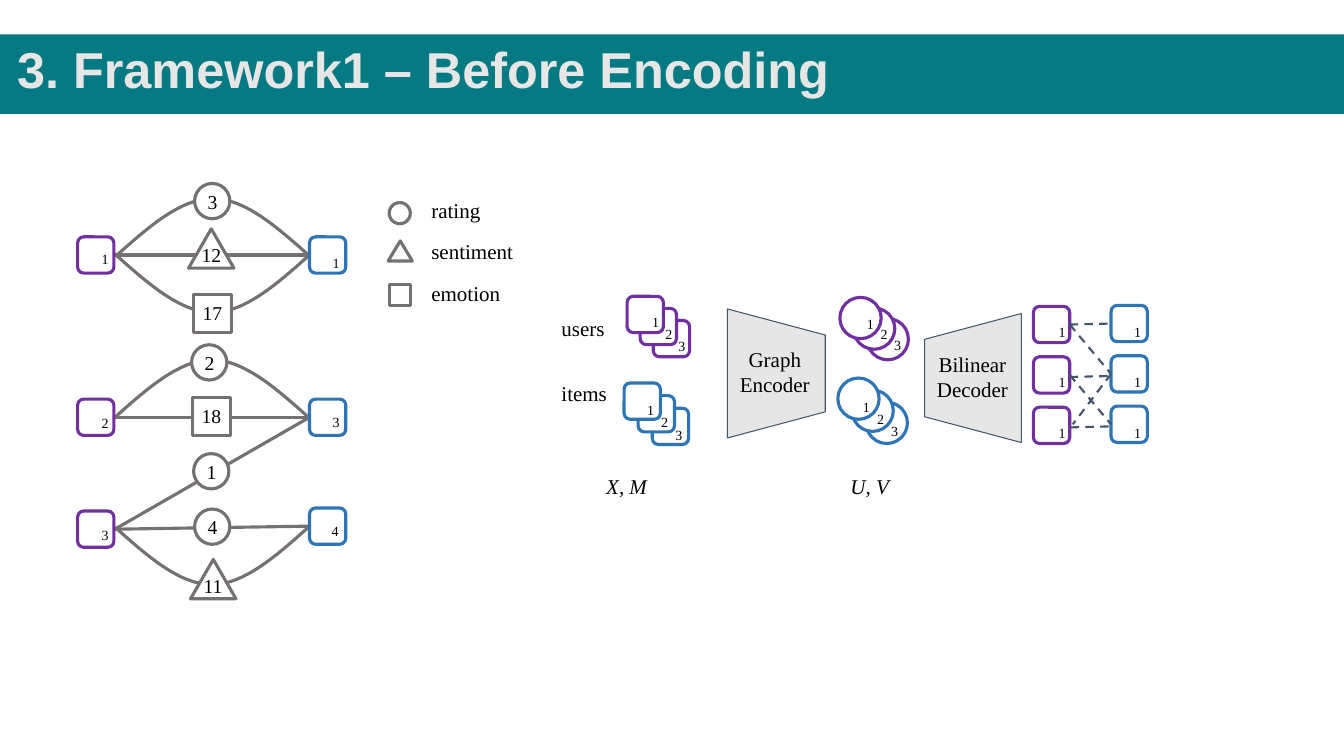
from dataclasses import dataclass
from lxml import etree
from pptx import Presentation, util as u
from pptx.dml.color import RGBColor
from pptx.enum import dml, shapes as sh, text as tx
from pptx.oxml.ns import qn

In = u.Inches
Kind = sh.MSO_SHAPE


@dataclass(frozen=True)
class Theme:
    teal: str = "067A82"
    pale: str = "E7E6E6"
    gray: str = "767171"
    slate: str = "44546A"
    user: str = "7030A0"
    item: str = "2E75B6"
    white: str = "FFFFFF"
    black: str = "000000"
    head: str = "Arial"
    body: str = "Times New Roman"
    title: int = 36
    label: int = 15
    mark: int = 14
    tiny: int = 10
    bold: float = 2.25
    dash: float = 1.5
    thin: float = 0.75


T = Theme()
SIDE, ROUND = 0.36, 0.41

# Content
TITLE = "3. Framework1 – Before Encoding"
# left, base, rise
ARCS = [(1.15, 2.54, 0.57), (1.15, 2.53, -0.57),
        (1.14, 4.14, 0.57), (1.14, 5.23, -0.57)]
EDGES = [(1.14, 2.53, 3.07, 2.53), (1.14, 4.14, 3.07, 4.14),
         (1.14, 5.25, 3.07, 4.14), (1.14, 5.25, 3.07, 5.22)]
# outline: width, height, number offset x, y
MARKS = {"rating": (Kind.OVAL, 0.35, 0.35, 0.13, 0.06),
         "sentiment": (Kind.ISOSCELES_TRIANGLE, 0.45, 0.39, 0.13, 0.14),
         "emotion": (Kind.RECTANGLE, 0.38, 0.38, 0.09, 0.07)}
SCORES = [("rating", "3", 1.93, 1.82), ("sentiment", "12", 1.87, 2.27),
          ("emotion", "17", 1.92, 2.92), ("rating", "2", 1.9, 3.42),
          ("emotion", "18", 1.91, 3.94), ("rating", "1", 1.92, 4.5),
          ("rating", "4", 1.93, 5.05), ("sentiment", "11", 1.89, 5.55)]
# legend sign: left, top, width, height
KEYS = {"rating": (3.86, 2.01, 0.21, 0.21),
        "sentiment": (3.85, 2.39, 0.24, 0.2),
        "emotion": (3.86, 2.82, 0.21, 0.21)}
# number, left, top, colour, number offset x, y
NODES = [("1", 0.77, 2.35, T.user, 0.14, 0.09),
         ("2", 0.77, 3.96, T.user, 0.14, 0.1),
         ("3", 0.77, 5.07, T.user, 0.14, 0.1),
         ("1", 3.07, 2.35, T.item, 0.13, 0.13),
         ("3", 3.07, 3.96, T.item, 0.13, 0.09),
         ("4", 3.07, 5.04, T.item, 0.12, 0.09)]
# left, top, step x, y, colour, size, number offset x, y
STACKS = [(6.22, 2.94, 0.13, 0.12, T.user, SIDE, 0.15, 0.12),
          (6.19, 3.8, 0.14, 0.125, T.item, SIDE, 0.13, 0.13),
          (8.33, 2.95, 0.135, 0.105, T.user, ROUND, 0.17, 0.13),
          (8.31, 3.75, 0.14, 0.12, T.item, ROUND, 0.15, 0.15)]
# text, left, top, width, format
LABELS = [("users", 5.47, 3.08, 0.75, {}), ("items", 5.47, 3.73, 0.75, {}),
          ("X, M", 5.84, 4.65, 0.75, dict(mid=True, slant=True)),
          ("U, V", 8.25, 4.65, 0.75, dict(mid=True, slant=True))]
# text, left, top, height, rotation, text left, top, width
CODERS = [("Graph\nEncoder", 7.06, 3.22, 0.97, 90, 7.2, 3.39, 0.97),
          ("Bilinear\nDecoder", 9.01, 3.27, 0.96, 270, 9.15, 3.44, 0.99)]
LINKS = [(10.61, 3.22, 11.02, 3.21), (10.61, 3.74, 11.02, 3.73),
         (10.62, 4.24, 11.02, 4.23), (10.61, 3.22, 11.02, 3.71),
         (11.02, 3.71, 10.64, 4.21), (10.61, 3.72, 11.02, 4.21)]

deck = Presentation()
deck.slide_width, deck.slide_height = In(13.33), In(7.5)
page = deck.slides.add_slide(deck.slide_layouts[5])


def rgb(code):
    return RGBColor.from_string(code)


def style(form, fill=None, line=None, width=T.bold):
    form.shadow.inherit = False
    if fill:
        form.fill.solid()
        form.fill.fore_color.rgb = rgb(fill)
    else:
        form.fill.background()
    if line:
        form.line.color.rgb = rgb(line)
        form.line.width = u.Pt(width)
    else:
        form.line.fill.background()
    return form


def draw(kind, x, y, w, h, adj=None, rot=0, **look):
    form = page.shapes.add_shape(kind, In(x), In(y), In(w), In(h))
    if adj is not None:
        form.adjustments[0] = adj
    form.rotation = rot
    return style(form, **look)


def write(words, x, y, w, h, box=None, size=T.label, font=T.body, color=T.black,
          bold=False, slant=False, mid=False, pad=(0.1, 0.05), space=None,
          anchor=tx.MSO_ANCHOR.TOP):
    box = box or page.shapes.add_textbox(0, 0, 0, 0)
    box.left, box.top, box.width, box.height = In(x), In(y), In(w), In(h)
    frame = box.text_frame
    frame.word_wrap = True
    frame.auto_size = tx.MSO_AUTO_SIZE.SHAPE_TO_FIT_TEXT
    frame.vertical_anchor = anchor
    frame.margin_left = frame.margin_right = In(pad[0])
    frame.margin_top = frame.margin_bottom = In(pad[1])
    frame.text = words
    for para in frame.paragraphs:
        para.alignment = tx.PP_ALIGN.CENTER if mid else tx.PP_ALIGN.LEFT
        para.line_spacing = space
        for run in para.runs:
            face = run.font
            face.name, face.size = font, u.Pt(size)
            face.bold, face.italic = bold, slant
            face.color.rgb = rgb(color)


def link(ends, color, width, dash=False):
    line = page.shapes.add_connector(sh.MSO_CONNECTOR.STRAIGHT, *map(In, ends))
    line.line.color.rgb = rgb(color)
    line.line.width = u.Pt(width)
    if dash:
        line.line.dash_style = dml.MSO_LINE.DASH
    etree.SubElement(line.element.spPr, qn("a:effectLst"))


def arc(x, y, rise, half=0.96, steps=16):
    # Cubic from the node up to the peak, then its mirror image
    dots = []
    for i in range(steps + 1):
        t = i / steps
        a, b, c = 3 * t * (1 - t) ** 2, 3 * t * t * (1 - t), t ** 3
        dots.append((half * (a / 3 + b * 2 / 3 + c), rise * (a / 2 + b + c)))
    dots += [(2 * half - dx, dy) for dx, dy in dots[-2::-1]]
    spots = [(In(x + dx), In(y - dy)) for dx, dy in dots]
    pen = page.shapes.build_freeform(*spots[0])
    pen.add_line_segments(spots[1:], close=False)
    style(pen.convert_to_shape(), line=T.gray)


def node(num, x, y, color, dx, dy, size=SIDE, fill=T.white):
    bend = 0.5 if size == ROUND else 0.167
    draw(Kind.ROUNDED_RECTANGLE, x, y, size, size, adj=bend, fill=fill, line=color)
    write(num, x + dx, y + dy, 0.22, 0.27, size=T.tiny)


# Title on its band
band = draw(Kind.RECTANGLE, 0, 0.34, 13.33, 0.79, fill=T.teal)
title = page.shapes.title
title.element.addprevious(band.element)
write(TITLE, 0.07, 0.17, 13.27, 0.71, box=title, size=T.title, font=T.head,
      color=T.pale, bold=True, space=1.5, anchor=tx.MSO_ANCHOR.MIDDLE)

# Review graph
for bow in ARCS:
    arc(*bow)
for edge in EDGES:
    link(edge, T.gray, T.bold)
for name, num, x, y in SCORES:
    kind, w, h, dx, dy = MARKS[name]
    draw(kind, x, y, w, h, fill=T.white, line=T.gray)
    write(num, x + dx, y + dy, 0.12 if len(num) == 1 else 0.23, 0.24,
          size=T.mark, pad=(0, 0))
for item in NODES:
    node(*item, fill=None)

# Legend
for i, (name, place) in enumerate(KEYS.items()):
    draw(MARKS[name][0], *place, fill=T.white, line=T.gray)
    write(name, 4.18, 1.91 + 0.41 * i, 1.09, 0.35)

# Encoder and decoder
for words, x, y, h, rot, left, top, wide in CODERS:
    draw(Kind.TRAPEZOID, x, y, 1.28, h, adj=0.267, rot=rot,
         fill=T.pale, line=T.slate, width=T.thin)
    write(words, left, top, wide, 0.61, mid=True)

# Stacks of users and items, last one at the back
for x, y, sx, sy, color, size, dx, dy in STACKS:
    for i in (2, 1, 0):
        node(str(i + 1), x + sx * i, y + sy * i, color, dx, dy, size)
for words, x, y, w, look in LABELS:
    write(words, x, y, w, 0.35, **look)

# Decoded pairs
for i in range(3):
    node("1", 11.02, 3.03 + 0.5 * i, T.item, 0.13, 0.13)
    node("1", 10.25, 3.04 + 0.5 * i, T.user, 0.15, 0.12)
for ends in LINKS:
    link(ends, T.slate, T.dash, dash=True)

deck.save("out.pptx")
